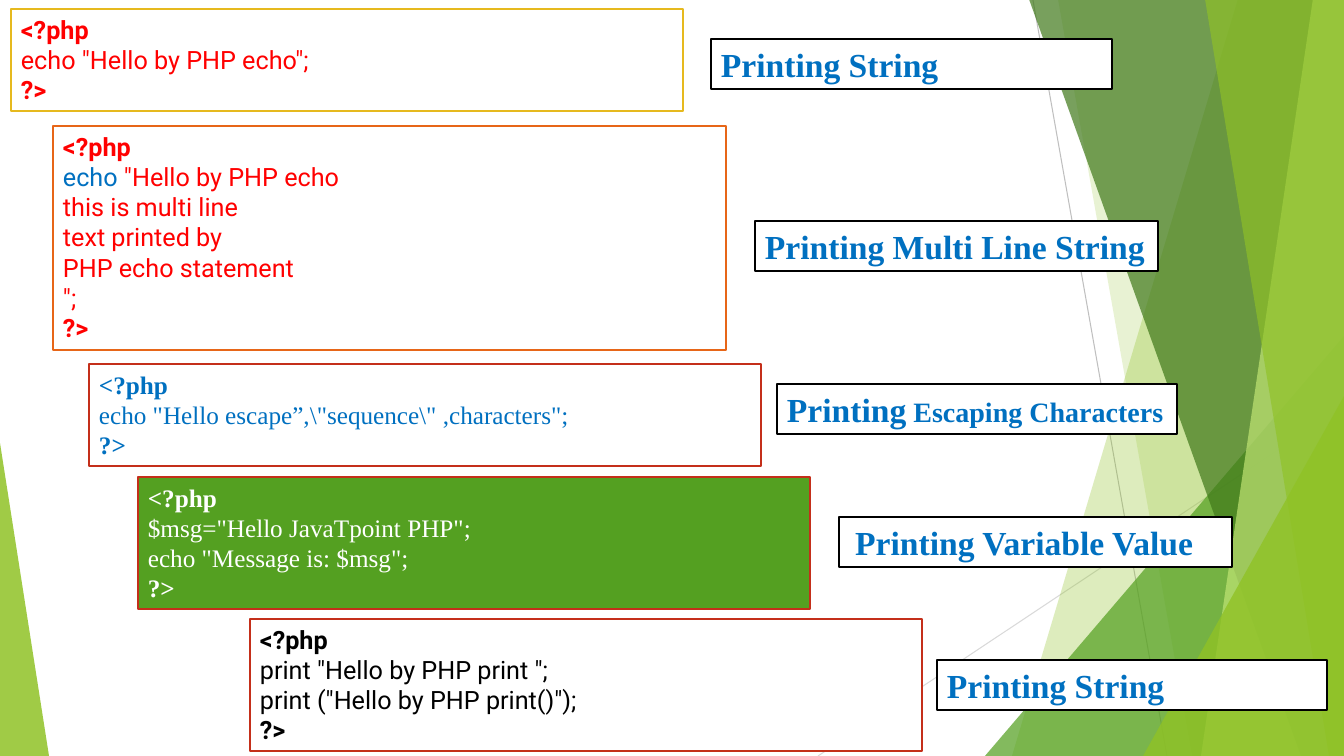
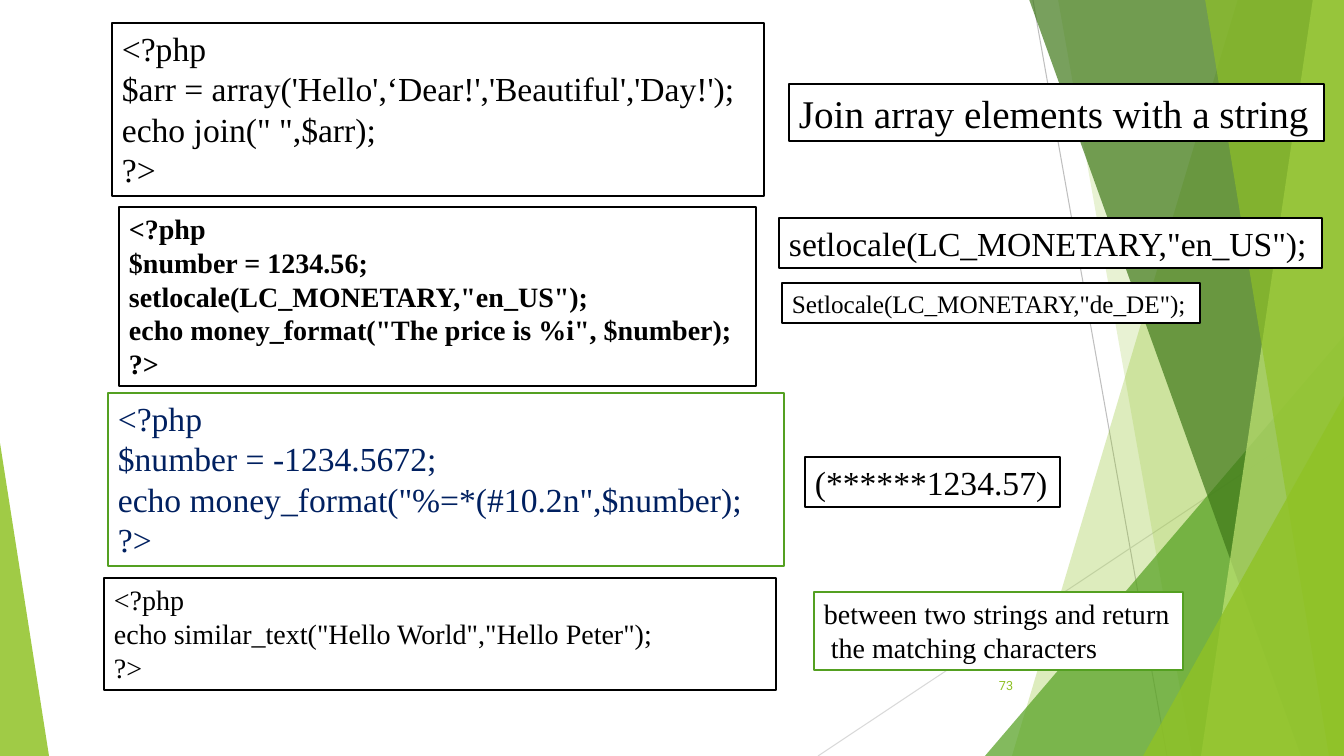
"""Build two slides of PHP output examples over a shared green backdrop."""
import pptx
import pptx.dml.color
import pptx.enum.shapes
import pptx.enum.text
import pptx.oxml.ns
import pptx.util
from lxml import etree

RGBColor = pptx.dml.color.RGBColor
BLACK = RGBColor(0x00, 0x00, 0x00)
WHITE = RGBColor(0xFF, 0xFF, 0xFF)
RED = RGBColor(0xFF, 0x00, 0x00)
BLUE = RGBColor(0x00, 0x70, 0xC0)
NAVY = RGBColor(0x00, 0x20, 0x60)
LIME = RGBColor(0x90, 0xC2, 0x26)
PALE_LIME = RGBColor(0xC0, 0xE4, 0x74)
GREEN = RGBColor(0x54, 0xA0, 0x21)
DARK_GREEN = RGBColor(0x3F, 0x78, 0x19)
GOLD = RGBColor(0xE6, 0xB9, 0x1E)
ORANGE = RGBColor(0xE7, 0x66, 0x18)
BRICK = RGBColor(0xC4, 0x2F, 0x1A)
GRAY = RGBColor(0xBF, 0xBF, 0xBF)
LIGHT_GRAY = RGBColor(0xD9, 0xD9, 0xD9)

SANS = "Roboto"
SERIF = "Times New Roman"
WIDTH, HEIGHT = 1344, 756
EMU_PER_PX = 12192000 / WIDTH
PHP_TAGS = ("<?php", "?>")
qn = pptx.oxml.ns.qn


def px(*lengths):
    return [pptx.util.Emu(round(length * EMU_PER_PX)) for length in lengths]


def add_text(page, text, place, font=SERIF, size=24, color=BLACK, bold=False,
             bold_tags=False, outline=BLACK, fill=WHITE, wrap=True, styles=None):
    box = page.shapes.add_textbox(*px(*place))
    frame = box.text_frame
    frame.word_wrap = wrap
    if outline is not None:
        box.fill.solid()
        box.fill.fore_color.rgb = fill
        box.line.color.rgb = outline
        box.line.width = pptx.util.Pt(1.5)
        frame.auto_size = pptx.enum.text.MSO_AUTO_SIZE.SHAPE_TO_FIT_TEXT
    for index, line in enumerate(text.split("\n")):
        para = frame.paragraphs[0] if index == 0 else frame.add_paragraph()
        pieces = [(line, {})]
        for part, style in (styles or {}).items():
            if line.startswith(part):
                pieces = [(part, style), (line[len(part):], {})]
        for piece, style in pieces:
            span = para.add_run()
            span.text = piece
            span.font.name = font
            span.font.size = pptx.util.Pt(style.get("size", size))
            span.font.bold = bold or (bold_tags and line in PHP_TAGS)
            span.font.color.rgb = style.get("color", color)
    return box


deck = pptx.Presentation()
deck.slide_width, deck.slide_height = px(WIDTH, HEIGHT)
layout = deck.slide_layouts[6]
for holder in list(layout.placeholders):
    layout.shapes.element.remove(holder.element)
echo_page = deck.slides.add_slide(layout)

for ends, color in (((1033, 0, 1167, HEIGHT), GRAY),
                    ((WIDTH, 406, 818, HEIGHT), LIGHT_GRAY)):
    line = echo_page.shapes.add_connector(
        pptx.enum.shapes.MSO_CONNECTOR.STRAIGHT, *px(*ends))
    line.line.color.rgb = color
    line.line.width = pptx.util.Pt(0.75)
    etree.SubElement(line.element.spPr, qn("a:effectLst"))

# Two numbers: top and bottom x of a band's slanted edge; five: a triangle's box and apex.
backdrop = [
    ((1238, 1012), LIME, 30),
    ((1058, 1192), LIME, 20),
    ((985, 336, 359, 420, 1), GREEN, 72),
    ((1029, 1301), DARK_GREEN, 70),
    ((1313, 1201), PALE_LIME, 70),
    ((1205, 1329), LIME, 65),
    ((1143, 396, 201, 360, 1), LIME, 80),
    ((0, 443, 49, 313, 0), LIME, 85),
]
for geometry, color, opacity in backdrop:
    if len(geometry) == 2:
        top_x, bottom_x = geometry
        outline = echo_page.shapes.build_freeform(*px(top_x, -1))
        outline.add_line_segments([px(WIDTH, -1), px(WIDTH, HEIGHT), px(bottom_x, HEIGHT)])
        shape = outline.convert_to_shape()
    else:
        *place, apex = geometry
        shape = echo_page.shapes.add_shape(
            pptx.enum.shapes.MSO_SHAPE.ISOSCELES_TRIANGLE, *px(*place))
        shape.adjustments[0] = apex
    shape.shadow.inherit = False
    shape.line.fill.background()
    shape.fill.solid()
    shape.fill.fore_color.rgb = color
    solid = shape.element.spPr.find(qn("a:solidFill"))
    etree.SubElement(solid[0], qn("a:alpha"), val=str(opacity * 1000))
for shape in list(echo_page.shapes):
    layout.shapes.element.append(shape.element)

echo_examples = [
    ('<?php\necho "Hello by PHP echo";\n?>', (11, 9, 672, 102),
     dict(font=SANS, color=RED, outline=GOLD)),
    ('<?php\necho "Hello by PHP echo\nthis is multi line\ntext printed by\n'
     'PHP echo statement\n";\n?>', (53, 126, 673, 224),
     dict(font=SANS, color=RED, outline=ORANGE, styles={"echo": {"color": BLUE}})),
    ('<?php\necho "Hello escape”,\\"sequence\\" ,characters";\n?>', (89, 364, 672, 102),
     dict(color=BLUE, outline=BRICK)),
    ('<?php\n$msg="Hello JavaTpoint PHP";\necho "Message is: $msg";\n?>',
     (138, 477, 672, 132), dict(color=WHITE, outline=BRICK, fill=GREEN)),
    ('<?php\nprint "Hello by PHP print ";\nprint ("Hello by PHP print()");\n?>',
     (250, 619, 672, 132), dict(font=SANS, outline=BRICK)),
]
for code, place, style in echo_examples:
    add_text(echo_page, code, place, size=18, bold_tags=True, **style)

echo_labels = [
    ("Printing String", (711, 39, 401, 50), {}),
    ("Printing Multi Line String", (755, 221, 403, 50), dict(wrap=False)),
    ("Printing Escaping Characters", (777, 384, 400, 50),
     dict(wrap=False, size=20, styles={"Printing": {"size": 24}})),
    (" Printing Variable Value", (839, 517, 393, 50), dict(styles={" ": {"size": 18}})),
    ("Printing String", (937, 660, 390, 50), {}),
]
for label, place, style in echo_labels:
    add_text(echo_page, label, place, color=BLUE, bold=True, **style)

function_page = deck.slides.add_slide(layout)
number = add_text(function_page, "73", (947, 666, 76, 40), font=SANS, size=9,
                  color=LIME, outline=None)
number.text_frame.vertical_anchor = pptx.enum.text.MSO_ANCHOR.MIDDLE
number.text_frame.paragraphs[0].alignment = pptx.enum.text.PP_ALIGN.RIGHT

function_examples = [
    ("<?php\n$arr = array('Hello',‘Dear!','Beautiful','Day!');\n"
     'echo join(" ",$arr);\n?>', (112, 23, 652, 173), {}),
    ('<?php\n$number = 1234.56;\nsetlocale(LC_MONETARY,"en_US");\n'
     'echo money_format("The price is %i", $number);\n?>', (119, 207, 637, 179),
     dict(size=20, bold=True)),
    ('<?php\n$number = -1234.5672;\necho money_format("%=*(#10.2n",$number);\n?>',
     (108, 393, 676, 173), dict(color=NAVY, outline=GREEN)),
    ('<?php\necho similar_text("Hello World","Hello Peter");\n?>',
     (104, 578, 672, 112), dict(size=20)),
]
for code, place, style in function_examples:
    add_text(function_page, code, place, **style)

function_labels = [
    ("Join array elements with a string", (789, 84, 535, 57), dict(size=28)),
    ('setlocale(LC_MONETARY,"en_US");', (779, 218, 543, 50), {}),
    ('Setlocale(LC_MONETARY,"de_DE");', (782, 283, 418, 40), dict(size=18)),
    ("(******1234.57)", (805, 457, 255, 50), {}),
    ("between two strings and return\n the matching characters", (814, 592, 369, 78),
     dict(size=20, outline=GREEN)),
]
for label, place, style in function_labels:
    add_text(function_page, label, place, wrap=False, **style)

deck.save("out.pptx")
